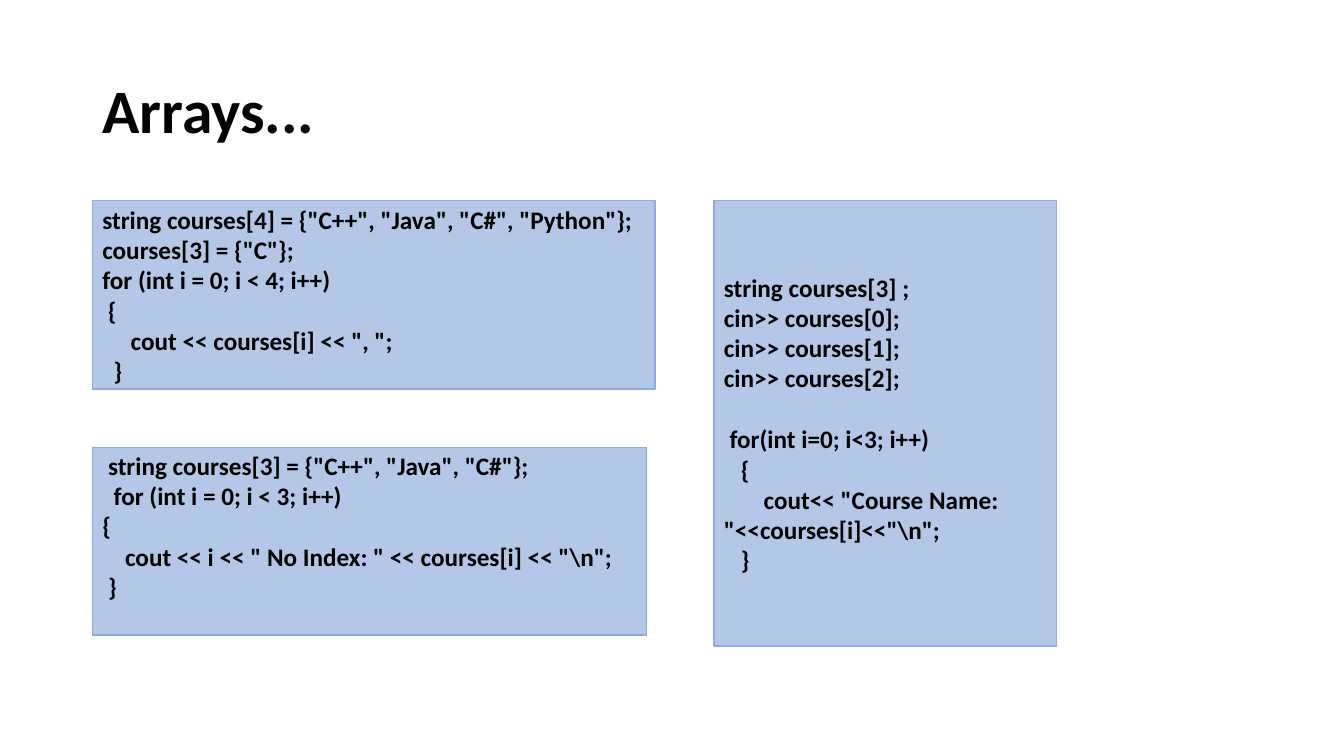
from pptx import Presentation
from pptx.dml.color import RGBColor
from pptx.enum.shapes import MSO_SHAPE
from pptx.enum.text import MSO_ANCHOR, MSO_AUTO_SIZE, PP_ALIGN
from pptx.util import Inches, Pt

BLACK = RGBColor(0x00, 0x00, 0x00)
PALE_BLUE = RGBColor(0xB4, 0xC7, 0xE7)
EDGE_BLUE = RGBColor(0x8F, 0xAA, 0xDC)

COLS, ROWS = 160, 90

REASSIGN = '''string courses[4] = {"C++", "Java", "C#", "Python"};
courses[3] = {"C"};
for (int i = 0; i < 4; i++)
 {
     cout << courses[i] << ", ";
  }'''

INDEXES = r''' string courses[3] = {"C++", "Java", "C#"};
  for (int i = 0; i < 3; i++)
{
    cout << i << " No Index: " << courses[i] << "\n";
 }'''

INPUT = r'''string courses[3] ;
cin>> courses[0];
cin>> courses[1];
cin>> courses[2];

 for(int i=0; i<3; i++)
   {
       cout<< "Course Name: "<<courses[i]<<"\n";
   }'''


def write(p, text, size=18, bold=True, color=BLACK, font='Calibri', before=0, spacing=1.0):
    p.alignment = PP_ALIGN.LEFT
    p.space_before = Pt(before)
    p.line_spacing = spacing
    r = p.add_run()
    r.text = text
    r.font.name = font
    r.font.size = Pt(size)
    r.font.bold = bold
    r.font.color.rgb = color


class Deck:
    line_height = 22

    def __init__(self):
        self.prs = Presentation()
        self.prs.slide_width = Inches(13.33)
        self.prs.slide_height = Inches(7.5)
        self.s = self.prs.slides.add_slide(self.prs.slide_layouts[5])

    def cells(self, col, row, cols, rows):
        w, h = self.prs.slide_width / COLS, self.prs.slide_height / ROWS
        return [round(v) for v in (col * w, row * h, cols * w, rows * h)]

    def frame(self, sp):
        tf = sp.text_frame
        tf.word_wrap = True
        tf.auto_size = MSO_AUTO_SIZE.NONE
        tf.vertical_anchor = MSO_ANCHOR.MIDDLE
        return tf

    def title(self, text, *place):
        sp = self.s.shapes.title
        sp.left, sp.top, sp.width, sp.height = self.cells(*place)
        write(self.frame(sp).paragraphs[0], text, size=44, spacing=0.9)

    def code(self, text, *place, lines_below=0):
        sp = self.s.shapes.add_shape(MSO_SHAPE.RECTANGLE, *self.cells(*place))
        sp.shadow.inherit = False
        sp.fill.solid()
        sp.fill.fore_color.rgb = PALE_BLUE
        sp.line.color.rgb = EDGE_BLUE
        sp.line.width = Pt(1)
        tf = self.frame(sp)
        tf.margin_bottom = Inches(0.05) + Pt(self.line_height * lines_below)
        p, before = tf.paragraphs[0], 0
        for i, line in enumerate(text.split('\n')):
            if not line:
                before = self.line_height
                continue
            if i:
                p = tf.add_paragraph()
            write(p, line, before=before)
            before = 0


def main():
    deck = Deck()
    deck.title('Arrays...', 11, 4.8, 138, 17.4)
    deck.code(REASSIGN, 11, 23.9, 67, 22.4)
    deck.code(INDEXES, 11, 53.3, 66, 22.3, lines_below=1)
    deck.code(INPUT, 85, 23.9, 40.8, 53)
    deck.prs.save("out.pptx")


if __name__ == '__main__':
    main()
